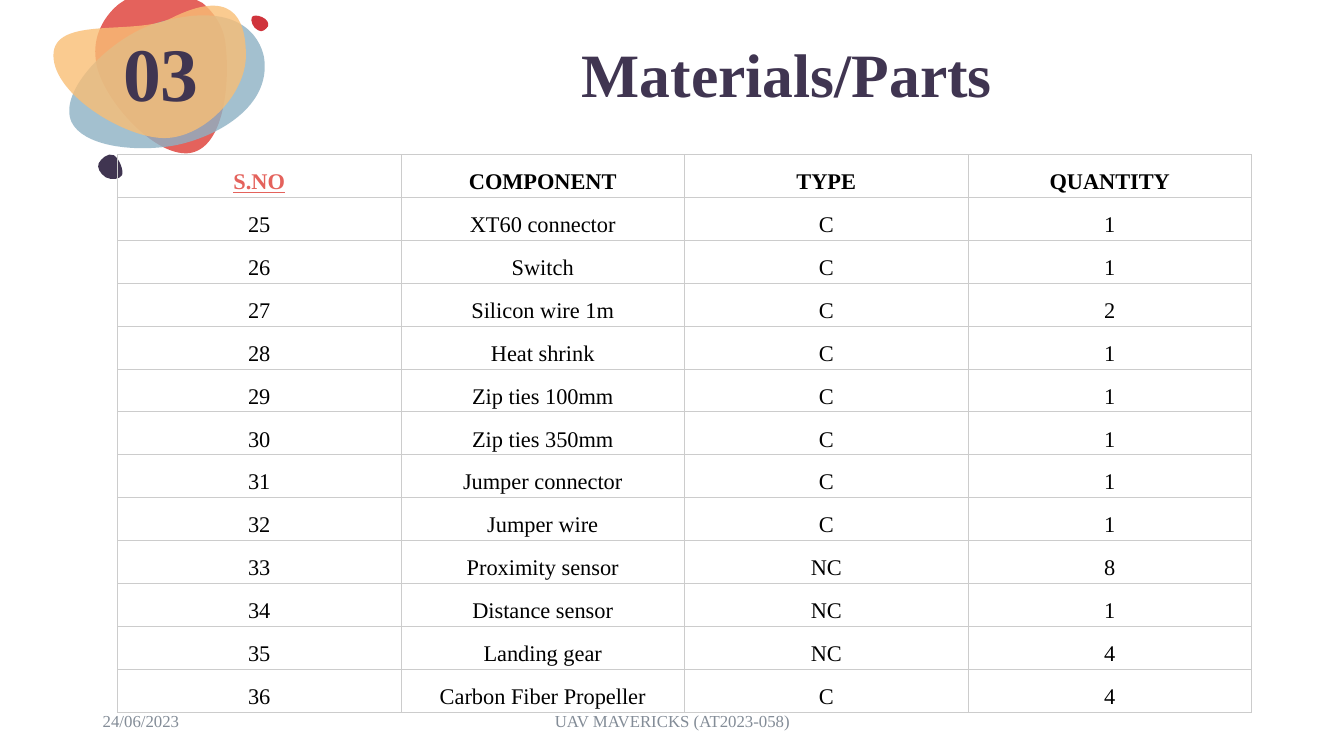
from lxml.etree import SubElement
from pptx import Presentation
from pptx.dml.color import RGBColor
from pptx.enum.text import MSO_ANCHOR, MSO_AUTO_SIZE, PP_ALIGN
from pptx.oxml.ns import qn
from pptx.util import Cm, Pt

FONT = "Times New Roman"
CM_PER_INCH = 2.54
COLORS = {
    "plum": "403551",
    "coral": "E4625C",
    "blue": "8DB1C4",
    "amber": "F9BE75",
    "red": "D0343C",
    "black": "000000",
    "gray": "838C97",
    "border": "CCCCCC",
}
# Each blob: colour, opacity in percent, box, start point, then lines and curves (inches).
BLOBS = [
    ("coral", 100, (0.94, 0, 1.31, 1.52), (1.24, 0), [
        (1.95, 0), (2.01, 0.03), (2.14, 0.14, 2.23, 0.29, 2.24, 0.46),
        (2.28, 0.81, 2.23, 1.48, 1.87, 1.52), (1.51, 1.55, 0.98, 0.94, 0.95, 0.59),
        (0.92, 0.37, 1.02, 0.17, 1.18, 0.04)]),
    ("blue", 80, (0.69, 0.15, 1.94, 1.32), (0.71, 1.21), [
        (0.82, 1.44, 1.29, 1.51, 1.69, 1.45), (2.08, 1.39, 2.7, 1.09, 2.62, 0.57),
        (2.58, 0.36, 2.36, -0.01, 1.55, 0.23), (1.1, 0.37, 0.57, 0.9, 0.71, 1.21)]),
    ("amber", 80, (0.53, 0.06, 1.91, 1.31), (0.53, 0.55), [
        (0.53, 0.94, 1.24, 1.37, 1.63, 1.37), (2.02, 1.37, 2.44, 0.94, 2.44, 0.55),
        (2.44, 0.15, 2.28, -0.11, 1.7, 0.18), (1.35, 0.36, 0.53, 0.15, 0.53, 0.55)]),
    ("plum", 100, (0.97, 1.53, 0.24, 0.24), (1.21, 1.74), [
        (1.23, 1.7, 1.19, 1.58, 1.13, 1.54), (1.07, 1.51, 1, 1.58, 0.98, 1.62),
        (0.96, 1.66, 0.99, 1.72, 1.05, 1.76), (1.11, 1.79, 1.18, 1.78, 1.21, 1.74)]),
    ("red", 100, (2.49, 0.15, 0.16, 0.16), (2.5, 0.17), [
        (2.48, 0.2, 2.51, 0.28, 2.56, 0.3), (2.6, 0.33, 2.64, 0.29, 2.66, 0.26),
        (2.67, 0.23, 2.65, 0.19, 2.6, 0.17), (2.56, 0.15, 2.51, 0.15, 2.5, 0.17)]),
]
HEADER = ("S.NO", "COMPONENT", "TYPE", "QUANTITY")
FIRST_NUMBER = 25
PARTS = [
    ("XT60 connector", "C", 1),
    ("Switch", "C", 1),
    ("Silicon wire 1m", "C", 2),
    ("Heat shrink", "C", 1),
    ("Zip ties 100mm", "C", 1),
    ("Zip ties 350mm", "C", 1),
    ("Jumper connector", "C", 1),
    ("Jumper wire", "C", 1),
    ("Proximity sensor", "NC", 8),
    ("Distance sensor", "NC", 1),
    ("Landing gear", "NC", 4),
    ("Carbon Fiber Propeller", "C", 4),
]


def color(name):
    return RGBColor.from_string(COLORS[name])


def format_font(font, size, color_name, bold=False):
    font.name = FONT
    font.size = Pt(size)
    font.bold = bold
    font.color.rgb = color(color_name)


def add_outline_step(outline, tag, values, left, top):
    step = SubElement(outline, qn(f"a:{tag}"))
    for x, y in zip(values[::2], values[1::2]):
        SubElement(
            step,
            qn("a:pt"),
            x=str(Cm(CM_PER_INCH * (x - left))),
            y=str(Cm(CM_PER_INCH * (y - top))),
        )


def add_blob(page, color_name, opacity, box, start, segments):
    left, top, width, height = box
    x1, y1, x2, y2 = (Cm(CM_PER_INCH * v) for v in (left, top, left + width, top + height))
    builder = page.shapes.build_freeform(x1, y1)
    builder.add_line_segments([(x2, y1), (x2, y2), (x1, y2)])
    blob = builder.convert_to_shape()
    outline = blob._element.spPr.find(f".//{qn('a:path')}")
    for child in list(outline):
        outline.remove(child)
    add_outline_step(outline, "moveTo", start, left, top)
    for segment in segments:
        tag = "lnTo" if len(segment) == 2 else "cubicBezTo"
        add_outline_step(outline, tag, segment, left, top)
    SubElement(outline, qn("a:close"))
    blob.shadow.inherit = False
    blob.line.fill.background()
    blob.fill.solid()
    blob.fill.fore_color.rgb = color(color_name)
    if opacity < 100:
        tint = blob._element.spPr.find(qn("a:solidFill"))[0]
        SubElement(tint, qn("a:alpha"), val=str(opacity * 1000))


def fill_placeholder(box, text, size, left, top, width, height):
    box.left, box.top, box.width, box.height = Cm(left), Cm(top), Cm(width), Cm(height)
    frame = box.text_frame
    frame.text = text
    frame.auto_size = MSO_AUTO_SIZE.NONE
    frame.vertical_anchor = MSO_ANCHOR.MIDDLE
    para = frame.paragraphs[0]
    para.alignment = PP_ALIGN.CENTER
    para.line_spacing = 0.9
    para.space_before = Pt(0)
    properties = para._p.get_or_add_pPr()
    properties.set("marL", "0")
    properties.set("indent", "0")
    SubElement(properties, qn("a:buNone"))
    format_font(para.font, size, "plum", bold=True)
    box._element.getparent().append(box._element)


def add_footer(page, text, left, width, alignment):
    box = page.shapes.add_textbox(Cm(left), Cm(17.65), Cm(width), Cm(1.02))
    frame = box.text_frame
    frame.word_wrap = True
    frame.vertical_anchor = MSO_ANCHOR.MIDDLE
    frame.text = text
    para = frame.paragraphs[0]
    para.alignment = alignment
    format_font(para.font, 12, "gray")


def format_cell(cell, text, color_name, bold):
    properties = cell._tc.get_or_add_tcPr()
    for side in ("lnL", "lnR", "lnT", "lnB"):
        line = SubElement(properties, qn(f"a:{side}"), w=str(Cm(0.02)))
        fill = SubElement(line, qn("a:solidFill"))
        SubElement(fill, qn("a:srgbClr"), val=COLORS["border"])
    cell.fill.background()
    cell.margin_left = cell.margin_right = cell.margin_top = cell.margin_bottom = Cm(0.07)
    cell.vertical_anchor = MSO_ANCHOR.BOTTOM
    cell.text = text
    para = cell.text_frame.paragraphs[0]
    para.alignment = PP_ALIGN.CENTER
    para.line_spacing = 1.5
    format_font(para.font, 16, color_name, bold)


def add_parts_table(page):
    rows = [HEADER]
    rows += [(number, *part) for number, part in enumerate(PARTS, FIRST_NUMBER)]
    frame = page.shapes.add_table(
        len(rows), len(HEADER), Cm(2.96), Cm(3.89), Cm(28.58), Cm(1.08) * len(rows)
    )
    table = frame.table
    table.first_row = False
    table.horz_banding = False
    for row_index, row in enumerate(rows):
        for column_index, value in enumerate(row):
            is_number_header = row_index == column_index == 0
            format_cell(
                table.cell(row_index, column_index),
                str(value),
                "coral" if is_number_header else "black",
                bold=row_index == 0,
            )
    table.cell(0, 0).text_frame.paragraphs[0].font.underline = True


def main():
    deck = Presentation()
    deck.slide_width, deck.slide_height = Cm(33.87), Cm(19.05)
    page = deck.slides.add_slide(deck.slide_layouts[1])
    for blob in BLOBS:
        add_blob(page, *blob)
    fill_placeholder(page.shapes.title, "Materials/Parts", 44, 8.13, 0.38, 23.42, 3.15)
    fill_placeholder(page.placeholders[1], "03", 54, 2.44, 0.38, 3.23, 3.12)
    add_parts_table(page)
    add_footer(page, "24/06/2023", 2.34, 7.62, PP_ALIGN.LEFT)
    add_footer(page, "UAV MAVERICKS (AT2023-058)", 11.23, 11.43, PP_ALIGN.CENTER)
    deck.save("out.pptx")


if __name__ == "__main__":
    main()
